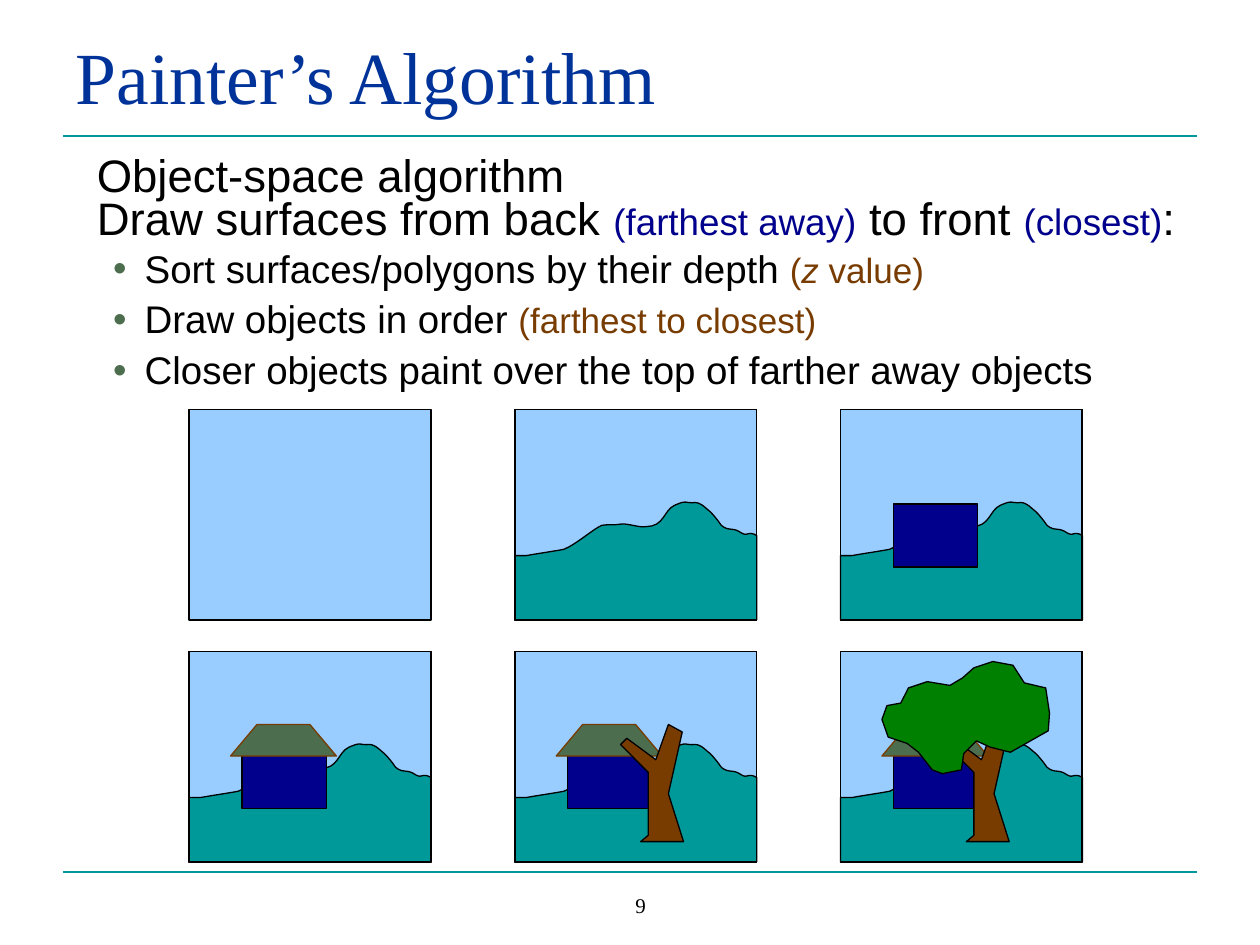
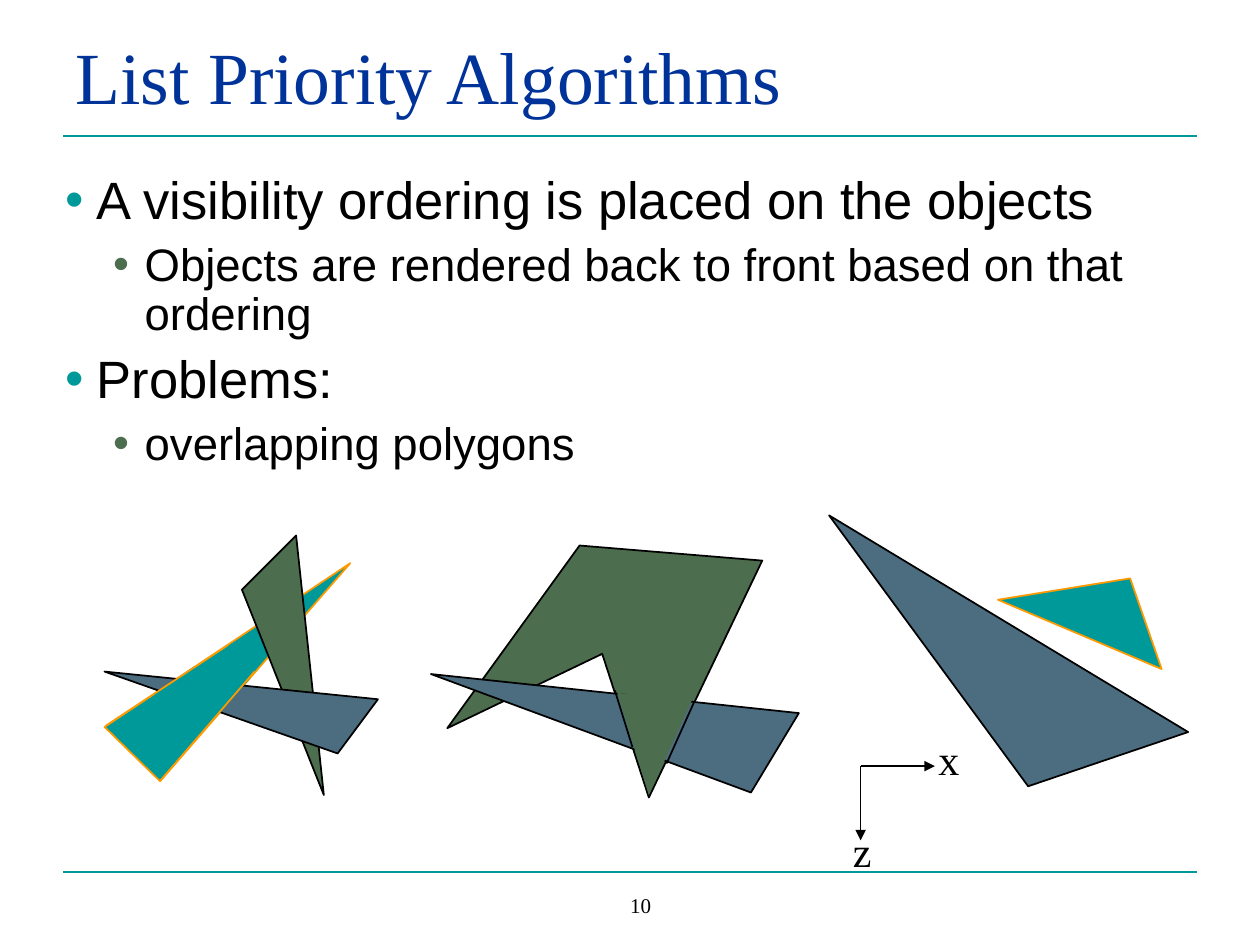
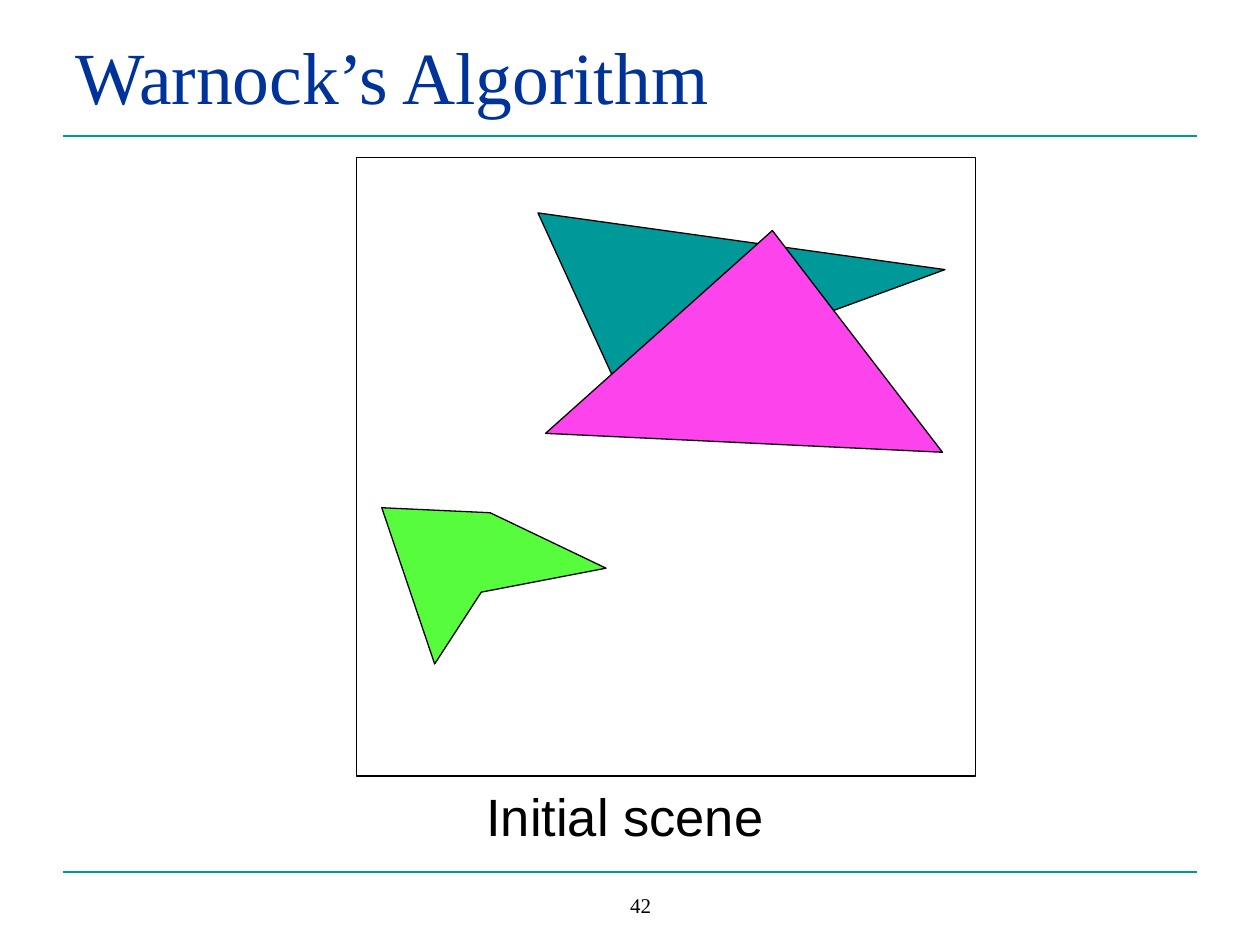
from lxml.etree import SubElement
from pptx import Presentation
from pptx.dml.color import RGBColor
from pptx.enum.shapes import MSO_CONNECTOR, MSO_SHAPE
from pptx.enum.text import MSO_ANCHOR, MSO_AUTO_SIZE, PP_ALIGN
from pptx.oxml.ns import qn
from pptx.shapes.connector import Connector
from pptx.util import Inches, Pt

COLORS = {name: RGBColor.from_string(value) for name, value in {
    "title": "003399", "teal": "009999", "black": "000000", "navy": "00008C",
    "brown": "783C00", "moss": "4C6D4E", "slate": "4C6D80", "orange": "FF9900",
    "sky": "99CCFF", "leaf": "008000", "pink": "FD43EB", "lime": "57FC3C",
}.items()}
SERIF, SANS = "Times New Roman", "Arial"


def finish(shape, outline, weight=0.75, fill=None):
    """Set outline and fill by colour name (None for none) and drop the shadow."""
    if outline:
        shape.line.color.rgb = COLORS[outline]
        shape.line.width = Pt(weight)
    else:
        shape.line.fill.background()
    if isinstance(shape, Connector):
        SubElement(shape._element.spPr, qn("a:effectLst"))
        return
    shape.shadow.inherit = False
    if fill:
        shape.fill.solid()
        shape.fill.fore_color.rgb = COLORS[fill]
    else:
        shape.fill.background()


def add_polygon(slide, points, fill, outline, weight=0.75):
    corners = [(Inches(x), Inches(y)) for x, y in points]
    builder = slide.shapes.build_freeform(*corners[0], scale=1.0)
    builder.add_line_segments(corners[1:], close=True)
    finish(builder.convert_to_shape(), outline, weight, fill)


# Paragraph kinds: left margin, first-line indent, bullet colour
KINDS = {
    "plain": (0.25, 0, None),
    "centred": (0, 0, None),
    "point": (0.25, -0.25, "teal"),
    "detail": (0.63, -0.25, "moss"),
}

# Paragraphs: kind, line spacing, space before, runs of (text, size, colour)
PAGES = [
    ("Painter’s Algorithm", "9", (1.17, 2.42), [
        ("plain", 0.9, 6.5, [("Object-space algorithm", 26, "black")]),
        ("plain", 0.5, 6.5, [
            ("Draw surfaces from back ", 26, "black"), ("(farthest away)", 21, "navy"),
            (" to front ", 26, "black"), ("(closest)", 21, "navy"), (":", 26, "black")]),
        ("detail", 0.9, 5, [
            ("Sort surfaces/polygons by their depth ", 22, "black"),
            ("(", 20, "brown"), ("z", 20, "brown"), (" value)", 20, "brown")]),
        ("detail", 0.9, 5, [
            ("Draw objects in order ", 22, "black"), ("(farthest to closest)", 20, "brown")]),
        ("detail", 0.9, 5.5, [
            ("Closer objects paint over the top of farther away objects", 22, "black")]),
    ]),
    ("List Priority Algorithms", "10", (1.33, 2.58), [
        ("point", 0.9, 7.5, [("A visibility ordering is placed on the objects", 30, "black")]),
        ("detail", 0.9, 6.5, [
            ("Objects are rendered back to front based on that ordering", 26, "black")]),
        ("point", 0.9, 7.5, [("Problems:", 30, "black")]),
        ("detail", 0.9, 6.5, [("overlapping polygons", 26, "black")]),
    ]),
    ("Warnock’s Algorithm", "42", (6.17, 0.64), [
        ("centred", 1.0, 7.5, [("Initial scene", 30, "black")]),
    ]),
]

prs = Presentation()
prs.slide_width, prs.slide_height = Inches(10), Inches(7.5)
title_only = prs.slide_layouts[5]
slides = []

for heading, number, (body_top, body_height), paragraphs in PAGES:
    slide = prs.slides.add_slide(title_only)
    slides.append(slide)

    for rule_y in (6.92, 1.08):
        rule = slide.shapes.add_connector(
            MSO_CONNECTOR.STRAIGHT, Inches(0.5), Inches(rule_y), Inches(9.5), Inches(rule_y))
        finish(rule, "teal", 1)

    title = slide.shapes.title
    title.left, title.top, title.width, title.height = (
        Inches(0.5), Inches(0.3), Inches(9), Inches(0.7))
    page_number = slide.shapes.add_textbox(
        Inches(3.92), Inches(7), Inches(2.33), Inches(0.33))
    for holder, text, size, color, align in (
            (title, heading, 42, "title", PP_ALIGN.LEFT),
            (page_number, number, 12, "black", PP_ALIGN.CENTER)):
        frame = holder.text_frame
        frame.text = text
        frame.word_wrap = True
        frame.auto_size = MSO_AUTO_SIZE.NONE
        frame.vertical_anchor = MSO_ANCHOR.BOTTOM
        frame.paragraphs[0].alignment = align
        font = frame.paragraphs[0].runs[0].font
        font.name, font.size, font.color.rgb = SERIF, Pt(size), COLORS[color]

    body = slide.shapes.add_textbox(
        Inches(0.42), Inches(body_top), Inches(9.08), Inches(body_height)).text_frame
    body.word_wrap = True
    for index, (kind, spacing, before, runs) in enumerate(paragraphs):
        paragraph = body.add_paragraph() if index else body.paragraphs[0]
        paragraph.line_spacing = spacing
        paragraph.space_before = Pt(before)
        if kind == "centred":
            paragraph.alignment = PP_ALIGN.CENTER
        margin, indent, bullet = KINDS[kind]
        properties = paragraph._p.get_or_add_pPr()
        properties.set("marL", str(Inches(margin)))
        properties.set("indent", str(Inches(indent)))
        if bullet:
            bullet_color = SubElement(properties, qn("a:buClr"))
            SubElement(bullet_color, qn("a:srgbClr")).set("val", str(COLORS[bullet]))
            SubElement(properties, qn("a:buFont")).set("typeface", SANS)
            SubElement(properties, qn("a:buChar")).set("char", "•")
        for text, size, color in runs:
            run = paragraph.add_run()
            run.text = text
            run.font.name, run.font.size = SANS, Pt(size)
            run.font.color.rgb = COLORS[color]
            if text == "z":
                run.font.italic = True

painter, priority, warnock = slides

# Painter's algorithm: each panel adds one layer to the scene
PANEL_W, PANEL_H = 1.92, 1.67
HILL_START = (0.09, 1.16)
HILL_CURVES = [
    ((0.2, 1.14), (0.28, 1.13), (0.39, 1.11)), ((0.49, 1.07), (0.62, 0.95), (0.69, 0.92)),
    ((0.75, 0.91), (0.78, 0.92), (0.84, 0.91)), ((0.89, 0.9), (0.99, 0.94), (1.04, 0.93)),
    ((1.19, 0.93), (1.18, 0.8), (1.27, 0.76)), ((1.36, 0.72), (1.35, 0.74), (1.41, 0.74)),
    ((1.47, 0.73), (1.5, 0.77), (1.55, 0.81)), ((1.6, 0.86), (1.64, 0.92), (1.64, 0.92)),
    ((1.7, 0.97), (1.73, 0.93), (1.8, 0.98)), ((1.85, 1.01), (1.85, 0.96), (1.92, 1.0)),
]
STEPS = 8
hills = [(0, PANEL_H), (0, 1.16), HILL_START]
for first, second, end in HILL_CURVES:
    start = hills[-1]
    for step in range(1, STEPS + 1):
        t = step / STEPS
        hills.append(tuple(
            (1 - t) ** 3 * a + 3 * (1 - t) ** 2 * t * b + 3 * (1 - t) * t ** 2 * c + t ** 3 * d
            for a, b, c, d in zip(start, first, second, end)))
hills.append((PANEL_W, PANEL_H))

roof = [(0.33, 0.83), (0.54, 0.58), (0.96, 0.58), (1.17, 0.83)]
trunk = [(1, 1.51), (1.06, 1.46), (1.06, 0.96), (0.84, 0.74), (0.89, 0.69), (1.12, 0.86),
         (1.22, 0.58), (1.33, 0.64), (1.22, 1.13), (1.34, 1.51)]
crown = [(0.73, 0.94), (0.62, 0.8), (0.53, 0.73), (0.38, 0.68), (0.33, 0.54), (0.37, 0.43),
         (0.48, 0.41), (0.54, 0.29), (0.69, 0.24), (0.87, 0.27), (0.97, 0.21), (1.06, 0.13),
         (1.21, 0.08), (1.37, 0.11), (1.46, 0.25), (1.63, 0.29), (1.66, 0.49), (1.65, 0.63),
         (1.35, 0.8), (1.19, 0.76), (1.08, 0.71), (0.98, 0.81), (0.96, 0.94), (0.81, 0.97)]

# Layers: outline points or a (left, top, width, height) box, fill, line, weight
panel_box = (0, 0, PANEL_W, PANEL_H)
frame_layer = (panel_box, None, "black", 1)
layers = [
    (panel_box, "sky", "black", 1),
    (hills, "teal", "black", 0.75),
    ((0.42, 0.75, 0.67, 0.5), "navy", "black", 0.75),
    (roof, "moss", "brown", 0.75),
    (trunk, "brown", "black", 0.75),
    (crown, "leaf", "black", 0.75),
]
for panel in range(len(layers)):
    row, column = divmod(panel, 3)
    left, top = 1.5 + column * 2.585, 3.25 + row * PANEL_W
    visible = layers[:panel + 1]
    if panel:
        visible.insert(5, frame_layer)
    for outline, fill, line, weight in visible:
        if isinstance(outline, list):
            add_polygon(painter, [(left + x, top + y) for x, y in outline], fill, line, weight)
        else:
            x, y, width, height = outline
            box = painter.shapes.add_shape(
                MSO_SHAPE.RECTANGLE, Inches(left + x), Inches(top + y),
                Inches(width), Inches(height))
            finish(box, line, weight, fill)

# List priority: cyclic overlap, piercing polygons, and a depth-ordering case
overlaps = [
    ([(0.83, 5.77), (2.78, 4.47), (1.27, 6.2)], "teal", "orange"),
    ([(1.92, 4.68), (2.57, 6.31), (2.35, 4.25)], "moss", "black"),
    ([(2.68, 5.98), (0.83, 5.33), (3, 5.55)], "slate", "black"),
    ([(1.22, 5.51), (1.54, 5.29), (1.99, 5.38), (1.69, 5.72)], "teal", None),
    ([(3.55, 5.78), (4.78, 5.19), (5.15, 6.33), (6.05, 4.45), (4.6, 4.33)], "moss", "black"),
    ([(5.96, 6.29), (3.42, 5.35), (6.34, 5.66)], "slate", "black"),
    ([(5.5, 5.54), (4.9, 5.5), (5.15, 6.31)], "moss", None),
    ([(8.16, 6.24), (6.58, 4.09), (9.43, 5.81)], "slate", "black"),
    ([(7.92, 4.76), (8.97, 4.59), (9.22, 5.31)], "teal", "orange"),
]
for points, fill, line in overlaps:
    add_polygon(priority, points, fill, line, 1)

edges_and_axes = [
    ((0.84, 5.76), (1.81, 5.12), "orange", 1, False),
    ((1.27, 6.2), (2.02, 5.33), "orange", 1, False),
    ((5.02, 5.93), (4.88, 5.48), "black", 1, False),
    ((5.29, 6.06), (5.51, 5.57), "black", 1, False),
    ((6.83, 6.08), (6.83, 6.67), "black", 0.75, True),
    ((6.83, 6.08), (7.42, 6.08), "black", 0.75, True),
]
for (x1, y1), (x2, y2), color, weight, is_axis in edges_and_axes:
    edge = priority.shapes.add_connector(
        MSO_CONNECTOR.STRAIGHT, Inches(x1), Inches(y1), Inches(x2), Inches(y2))
    finish(edge, color, weight)
    if is_axis:
        SubElement(edge._element.spPr.find(qn("a:ln")), qn("a:tailEnd")).set("type", "triangle")

for axis, left, top in (("x", 7.35, 5.77), ("z", 6.67, 6.5)):
    label = priority.shapes.add_textbox(
        Inches(left), Inches(top), Inches(0.36), Inches(0.5)).text_frame
    label.text = axis
    label.word_wrap = False
    font = label.paragraphs[0].runs[0].font
    font.name, font.size, font.color.rgb = SERIF, Pt(24), COLORS["black"]

# Warnock: the initial scene in its square window
window = warnock.shapes.add_shape(
    MSO_SHAPE.RECTANGLE, Inches(2.83), Inches(1.25), Inches(4.91), Inches(4.91))
finish(window, "black")
scene = [
    ([(4.27, 1.69), (4.91, 3.09), (7.5, 2.14)], "teal"),
    ([(7.48, 3.59), (6.13, 1.83), (4.33, 3.44)], "pink"),
    ([(4.81, 4.51), (3.82, 4.7), (3.45, 5.27), (3.03, 4.03), (3.89, 4.07)], "lime"),
]
for points, fill in scene:
    add_polygon(warnock, points, fill, "black")

prs.save("out.pptx")
